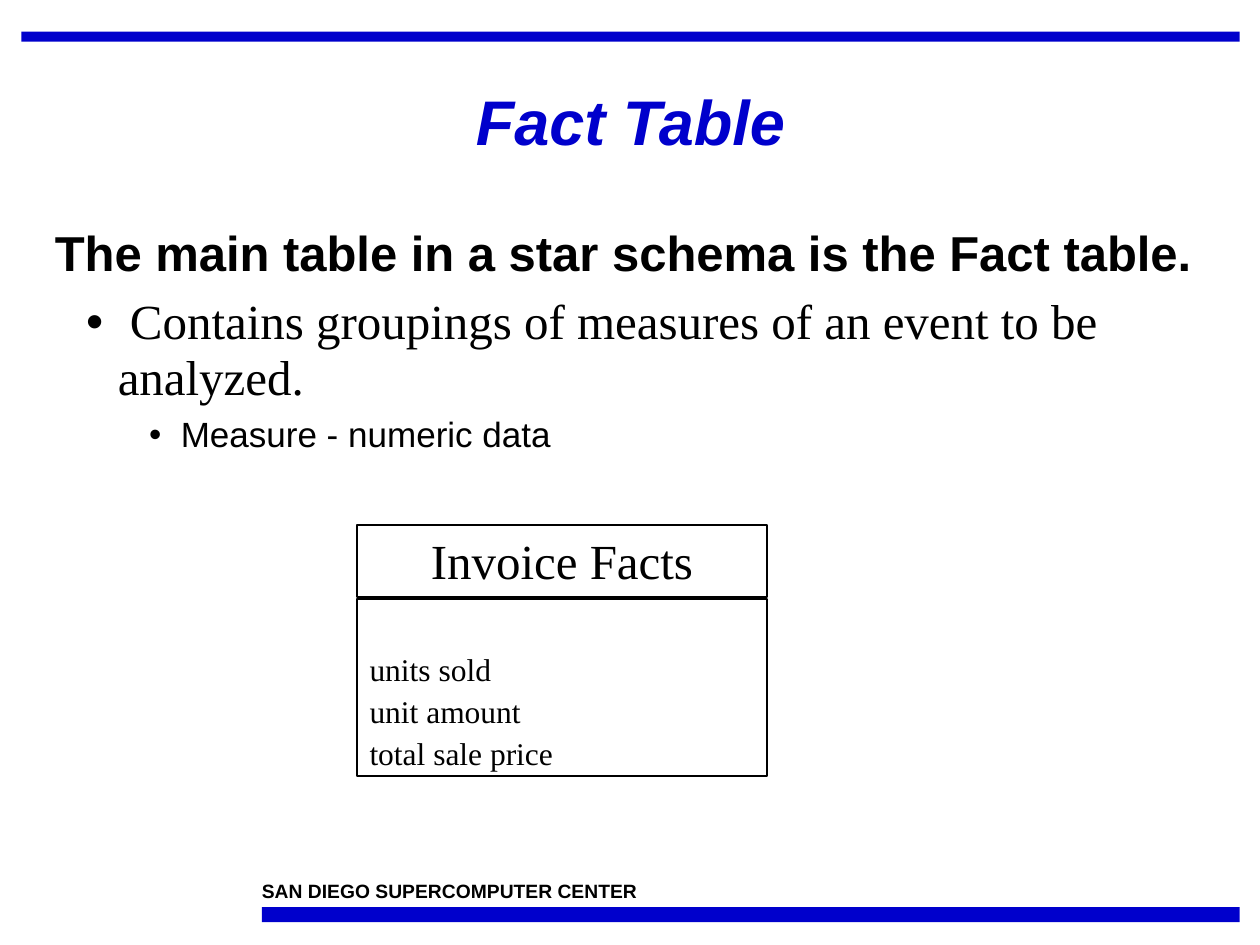
from dataclasses import dataclass

from lxml import etree
from pptx import Presentation
from pptx.dml.color import RGBColor
from pptx.enum.shapes import MSO_SHAPE
from pptx.enum.text import MSO_ANCHOR, MSO_AUTO_SIZE, PP_ALIGN
from pptx.oxml.ns import qn
from pptx.util import Cm, Pt

RECT = MSO_SHAPE.RECTANGLE
TOP, MID, LOW = MSO_ANCHOR.TOP, MSO_ANCHOR.MIDDLE, MSO_ANCHOR.BOTTOM
LEFT, CENTER = PP_ALIGN.LEFT, PP_ALIGN.CENTER
FIXED = MSO_AUTO_SIZE.NONE
SANS, SERIF = "Arial", "Times New Roman"
HUES = {"blue": "0000CC", "ink": "000000"}
HANG = 0.64


@dataclass
class Box:
    left: float
    top: float
    width: float
    height: float

    def spot(self) -> tuple:
        return Cm(self.left), Cm(self.top), Cm(self.width), Cm(self.height)


@dataclass
class Point:
    text: str
    level: int
    size: int
    font: str
    bold: bool
    before: float


BARS = [Box(0.43, 0.64, 24.56, 0.2), Box(5.28, 18.29, 19.71, 0.3)]
POINTS = [
    Point("The main table in a star schema is the Fact table.", 0, 28, SANS, True, 0),
    Point(" Contains groupings of measures of an event to be analyzed.", 1, 28, SERIF, False, 7),
    Point("Measure - numeric data", 2, 20, SANS, False, 5),
]
FACTS = ["units sold", "unit amount", "total sale price"]


def hue(name: str) -> RGBColor:
    return RGBColor.from_string(HUES[name])


def write(para, text: str, *, size: float, font: str = SANS, color: str = "ink",
          bold: bool = False, italic: bool = False, align=LEFT,
          space: float = 1, before: float = 0) -> None:
    para.alignment = align
    para.line_spacing = space
    para.space_before = Pt(before)
    para.space_after = Pt(0)
    run = para.add_run()
    run.text = text
    face = run.font
    face.name, face.size = font, Pt(size)
    face.bold, face.italic = bold, italic
    face.color.rgb = hue(color)


def lines(frame, count: int) -> list:
    for _ in range(count - 1):
        frame.add_paragraph()
    return list(frame.paragraphs)


def place(shape, box: Box) -> None:
    shape.left, shape.top, shape.width, shape.height = box.spot()


def setup(frame, anchor) -> None:
    frame.auto_size = FIXED
    frame.word_wrap = True
    frame.vertical_anchor = anchor


def bullet(para, level: int) -> None:
    para.level = level
    props = para._p.get_or_add_pPr()
    props.set("marL", str(Cm(1.27 * level)))
    props.set("indent", str(-Cm(HANG) if level else 0))
    if level:
        etree.SubElement(props, qn("a:buFont")).set("typeface", SANS)
        etree.SubElement(props, qn("a:buChar")).set("char", "•")
    else:
        etree.SubElement(props, qn("a:buNone"))


def block(slide, box: Box, fill: str = "", line: str = ""):
    shape = slide.shapes.add_shape(RECT, *box.spot())
    shape.shadow.inherit = False
    if fill:
        shape.fill.solid()
        shape.fill.fore_color.rgb = hue(fill)
    else:
        shape.fill.background()
    if line:
        shape.line.color.rgb = hue(line)
        shape.line.width = Pt(1)
    else:
        shape.line.fill.background()
    return shape


def main() -> None:
    deck = Presentation()
    deck.slide_width, deck.slide_height = Cm(25.4), Cm(19.05)
    slide = deck.slides.add_slide(deck.slide_layouts[1])

    title = slide.shapes.title
    place(title, Box(0.43, 1.07, 24.56, 2.9))
    setup(title.text_frame, MID)
    write(title.text_frame.paragraphs[0], "Fact Table", size=36, color="blue",
          bold=True, italic=True, align=CENTER, space=0.9)

    body = slide.placeholders[1]
    place(body, Box(0.85, 4.45, 23.92, 4.88))
    setup(body.text_frame, TOP)
    for para, item in zip(lines(body.text_frame, len(POINTS)), POINTS):
        bullet(para, item.level)
        write(para, item.text, size=item.size, font=item.font, bold=item.bold,
              space=0.95, before=item.before)

    for bar in BARS:
        block(slide, bar, fill="blue")

    foot = slide.shapes.add_textbox(*Box(5.28, 17.72, 9.53, 0.46).spot()).text_frame
    setup(foot, TOP)
    foot.margin_left = foot.margin_right = foot.margin_top = foot.margin_bottom = 0
    write(foot.paragraphs[0], "SAN DIEGO SUPERCOMPUTER CENTER", size=11, bold=True)

    head = block(slide, Box(7.2, 10.58, 8.26, 1.46), line="ink").text_frame
    setup(head, TOP)
    write(head.paragraphs[0], "Invoice Facts", size=28, font=SERIF, align=CENTER)

    facts = block(slide, Box(7.2, 12.07, 8.26, 3.58), line="ink").text_frame
    setup(facts, LOW)
    for row, (para, text) in enumerate(zip(lines(facts, len(FACTS)), FACTS)):
        write(para, text, size=18, font=SERIF, space=0.6, before=11.2 if row else 0)

    deck.save("out.pptx")


if __name__ == "__main__":
    main()
